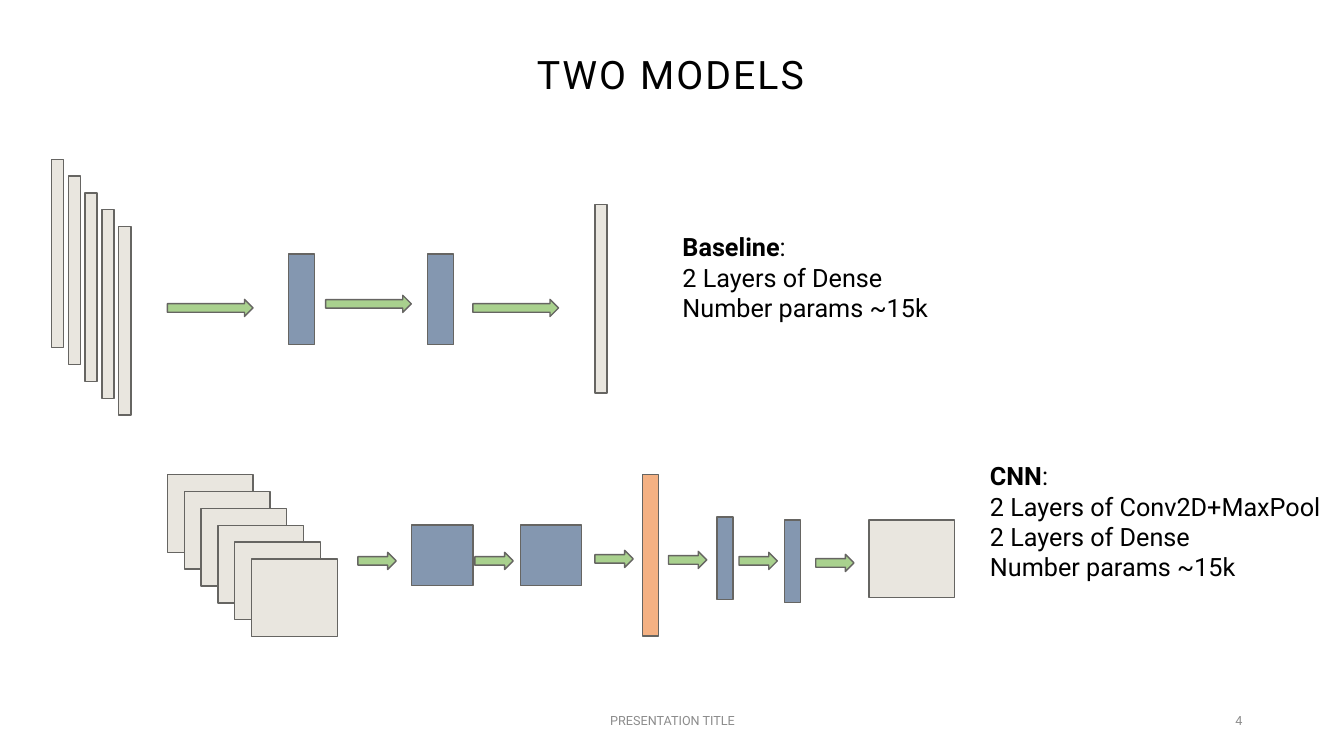
from pptx import Presentation
from pptx.dml.color import RGBColor
from pptx.enum.shapes import MSO_SHAPE as Shape
from pptx.enum.text import MSO_ANCHOR as Anchor, PP_ALIGN as Align
from pptx.util import Inches, Pt

COLORS = {
    "data": "E9E6DF",
    "layer": "8497B0",
    "flatten": "F4B183",
    "arrow": "A9D18E",
    "outline": "666562",
    "text": "000000",
    "footer": "8C8C8C",
}


class ModelSlide:
    """Holds the style and the slide being drawn."""

    font = "Roboto"

    def __init__(self, slide):
        self.slide = slide
        self.shapes = slide.shapes

    def color(self, name):
        return RGBColor.from_string(COLORS[name])

    def start_group(self):
        self.shapes = self.slide.shapes.add_group_shape().shapes

    def end_group(self):
        self.shapes = self.slide.shapes

    def block(self, left, top, width, height, fill, kind=Shape.RECTANGLE):
        block = self.shapes.add_shape(
            kind, Inches(left), Inches(top), Inches(width), Inches(height))
        block.shadow.inherit = False
        block.fill.solid()
        block.fill.fore_color.rgb = self.color(fill)
        block.line.color.rgb = self.color("outline")
        block.line.width = Pt(1)

    def stack(self, count, left, top, width, height, step=0.167):
        for i in range(count):
            self.block(left + i * step, top + i * step, width, height, "data")

    def arrow(self, left, top, width):
        self.block(left, top, width, 0.17, "arrow", Shape.RIGHT_ARROW)

    def text(self, left, top, width, height, lines, size=18, color="text",
             align=Align.LEFT, anchor=Anchor.TOP, heading=None, tracking=0):
        frame = self.slide.shapes.add_textbox(
            Inches(left), Inches(top), Inches(width), Inches(height)).text_frame
        frame.word_wrap = True
        frame.vertical_anchor = anchor
        if heading:
            lines = [":"] + lines
        for i, line in enumerate(lines):
            paragraph = frame.add_paragraph() if i else frame.paragraphs[0]
            paragraph.alignment = align
            paragraph.font.name = self.font
            paragraph.font.size = Pt(size)
            paragraph.font.color.rgb = self.color(color)
            if heading and i == 0:
                name = paragraph.add_run()
                name.text = heading
                name.font.bold = True
            run = paragraph.add_run()
            run.text = line
            if tracking:
                run.font._element.set("spc", str(int(tracking * 100)))


def main():
    prs = Presentation()
    prs.slide_width, prs.slide_height = Inches(13.33), Inches(7.5)
    page = ModelSlide(prs.slides.add_slide(prs.slide_layouts[6]))

    # Title and footer
    page.text(0.9, 0.01, 11.5, 1.45, ["TWO MODELS"], size=28,
              align=Align.CENTER, anchor=Anchor.MIDDLE, tracking=1.5)
    footer = {"size": 9, "color": "footer", "anchor": Anchor.MIDDLE}
    page.text(4.42, 6.95, 4.5, 0.4, ["PRESENTATION TITLE"],
              align=Align.CENTER, **footer)
    page.text(9.42, 6.95, 3, 0.4, ["4"], align=Align.RIGHT, **footer)

    # Baseline: input vectors, two dense layers, output vector
    page.start_group()
    page.stack(5, 0.51, 1.58, 0.12, 1.87)
    for left in (2.86, 4.24):
        page.block(left, 2.52, 0.26, 0.9, "layer")
    page.block(5.9, 2.03, 0.12, 1.87, "data")
    for left, top in ((1.66, 2.97), (3.23, 2.93), (4.69, 2.97)):
        page.arrow(left, top, 0.85)
    page.end_group()
    page.text(6.67, 2.25, 3.31, 1.01,
              ["2 Layers of Dense", "Number params ~15k"], heading="Baseline")

    # CNN: input images, convolutions, flattening, dense layers, output image
    page.stack(6, 1.66, 4.71, 0.85, 0.77)
    for left in (4.08, 5.16):
        page.block(left, 5.21, 0.61, 0.6, "layer")
    page.block(6.37, 4.71, 0.16, 1.6, "flatten")
    for left, top in ((7.11, 5.13), (7.78, 5.16)):
        page.block(left, top, 0.16, 0.82, "layer")
    page.block(8.62, 5.16, 0.85, 0.77, "data")
    for left, top in ((3.55, 5.48), (4.71, 5.48), (5.9, 5.46),
                      (6.63, 5.47), (7.33, 5.48), (8.09, 5.5)):
        page.arrow(left, top, 0.38)
    page.text(9.72, 4.52, 3.61, 1.31,
              ["2 Layers of Conv2D+MaxPool", "2 Layers of Dense",
               "Number params ~15k"], heading="CNN")

    prs.save("out.pptx")


if __name__ == "__main__":
    main()
